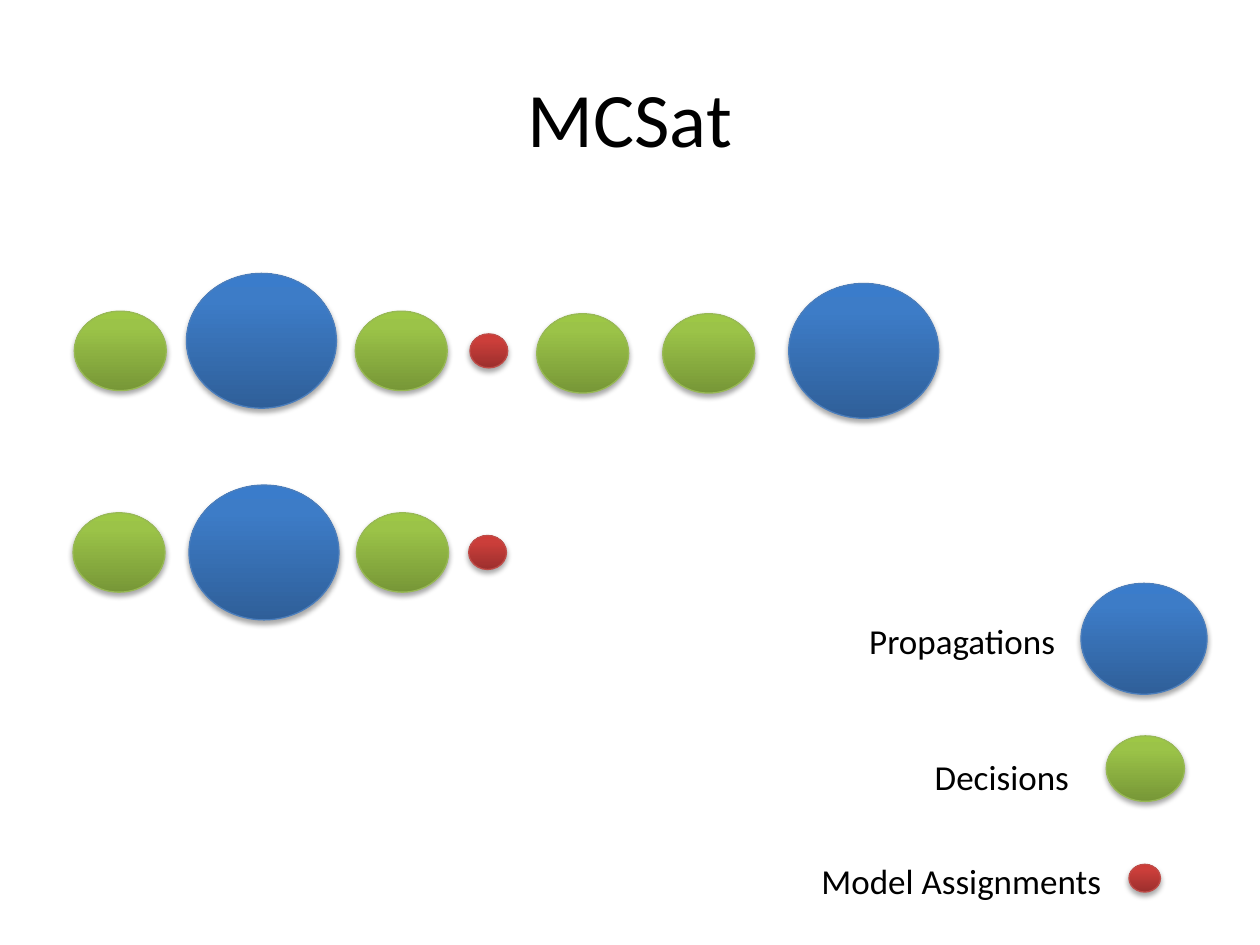
from dataclasses import dataclass

from lxml.etree import SubElement
from pptx import Presentation
from pptx.dml.color import RGBColor
from pptx.enum.shapes import MSO_SHAPE
from pptx.enum.text import MSO_ANCHOR, MSO_AUTO_SIZE, PP_ALIGN
from pptx.oxml.ns import qn
from pptx.util import Inches, Pt


@dataclass(frozen=True)
class Kind:
    label: str
    width: float
    height: float
    stops: tuple[str, str, str]
    line: str


@dataclass(frozen=True)
class Ball:
    kind: Kind
    left: float
    top: float


@dataclass(frozen=True)
class LegendEntry:
    kind: Kind
    text_box: tuple[float, float, float, float]
    ball_box: tuple[float, float, float, float]


PROPAGATION = Kind("Propagations", 1.19, 1.07, ("2F5F99", "3D7CC7", "3A7CCB"), "4B7EBC")
DECISION = Kind("Decisions", 0.73, 0.63, ("779737", "9BC348", "9DC746"), "98B955")
ASSIGNMENT = Kind("Model Assignments", 0.3, 0.27, ("9C2F2D", "CB3E3A", "CE3B37"), "BF4C48")

FULL_TRAIL = [
    Ball(DECISION, 0.59, 2.47),
    Ball(PROPAGATION, 1.48, 2.17),
    Ball(DECISION, 2.82, 2.47),
    Ball(ASSIGNMENT, 3.73, 2.65),
    Ball(DECISION, 4.26, 2.49),
    Ball(DECISION, 5.26, 2.49),
    Ball(PROPAGATION, 6.26, 2.25),
]
SHORT_TRAIL = [
    Ball(DECISION, 0.58, 4.07),
    Ball(PROPAGATION, 1.5, 3.85),
    Ball(DECISION, 2.83, 4.07),
    Ball(ASSIGNMENT, 3.72, 4.25),
]
LEGEND = [
    LegendEntry(PROPAGATION, (6.8, 4.87, 1.69, 0.44), (8.58, 4.63, 1, 0.88)),
    LegendEntry(DECISION, (7.32, 5.95, 1.28, 0.44), (8.78, 5.84, 0.62, 0.52)),
    LegendEntry(ASSIGNMENT, (6.42, 6.77, 2.45, 0.44), (8.96, 6.86, 0.25, 0.22)),
]


def rgb(value: str) -> RGBColor:
    return RGBColor.from_string(value)


def format_run(r, size: float) -> None:
    for name, value in {"name": "Calibri", "size": Pt(size)}.items():
        setattr(r.font, name, value)
    r.font.color.rgb = rgb("000000")


def set_gradient(sp, stops: tuple[str, str, str]) -> None:
    sp.fill.gradient()
    sp.fill.gradient_angle = 90
    stop_list = sp.fill._xPr.find(qn("a:gradFill")).find(qn("a:gsLst"))
    for old in list(stop_list):
        stop_list.remove(old)
    for position, color in zip((0, 80, 100), stops):
        stop = SubElement(stop_list, qn("a:gs"), pos=str(position * 1000))
        SubElement(stop, qn("a:srgbClr"), val=color)


def set_shadow(sp) -> None:
    sp.shadow.inherit = False
    effects = sp._element.spPr.find(qn("a:effectLst"))
    shadow = SubElement(effects, qn("a:outerShdw"), blurRad=str(Pt(3.1)),
                        dist=str(Pt(1.8)), dir=str(90 * 60000), rotWithShape="0")
    color = SubElement(shadow, qn("a:srgbClr"), val="000000")
    SubElement(color, qn("a:alpha"), val="35000")


def add_ball(shapes, kind: Kind, box: tuple[float, float, float, float]) -> None:
    sp = shapes.add_shape(MSO_SHAPE.OVAL, *map(Inches, box))
    set_gradient(sp, kind.stops)
    sp.line.color.rgb = rgb(kind.line)
    sp.line.width = Pt(0.75)
    set_shadow(sp)


def add_trail(shapes, balls: list[Ball]) -> None:
    for ball in balls:
        kind = ball.kind
        add_ball(shapes, kind, (ball.left, ball.top, kind.width, kind.height))


def add_legend_entry(shapes, entry: LegendEntry) -> None:
    tf = shapes.add_textbox(*map(Inches, entry.text_box)).text_frame
    tf.word_wrap = False
    tf.auto_size = MSO_AUTO_SIZE.SHAPE_TO_FIT_TEXT
    r = tf.paragraphs[0].add_run()
    r.text = entry.kind.label
    format_run(r, 20)
    add_ball(shapes, entry.kind, entry.ball_box)


def add_title(s, text: str) -> None:
    title = s.shapes.title
    box = dict(left=0.5, top=0.3, width=9, height=1.25)
    for name, value in box.items():
        setattr(title, name, Inches(value))
    tf = title.text_frame
    tf.vertical_anchor = MSO_ANCHOR.MIDDLE
    p = tf.paragraphs[0]
    p.alignment = PP_ALIGN.CENTER
    r = p.add_run()
    r.text = text
    format_run(r, 44)


def main() -> None:
    prs = Presentation()
    prs.slide_width, prs.slide_height = Inches(10), Inches(7.5)
    s = prs.slides.add_slide(prs.slide_layouts[5])
    add_title(s, "MCSat")
    add_trail(s.shapes, SHORT_TRAIL)
    add_trail(s.shapes.add_group_shape().shapes, FULL_TRAIL)
    legend = s.shapes.add_group_shape()
    for entry in LEGEND:
        add_legend_entry(legend.shapes, entry)
    prs.save("out.pptx")


if __name__ == "__main__":
    main()
